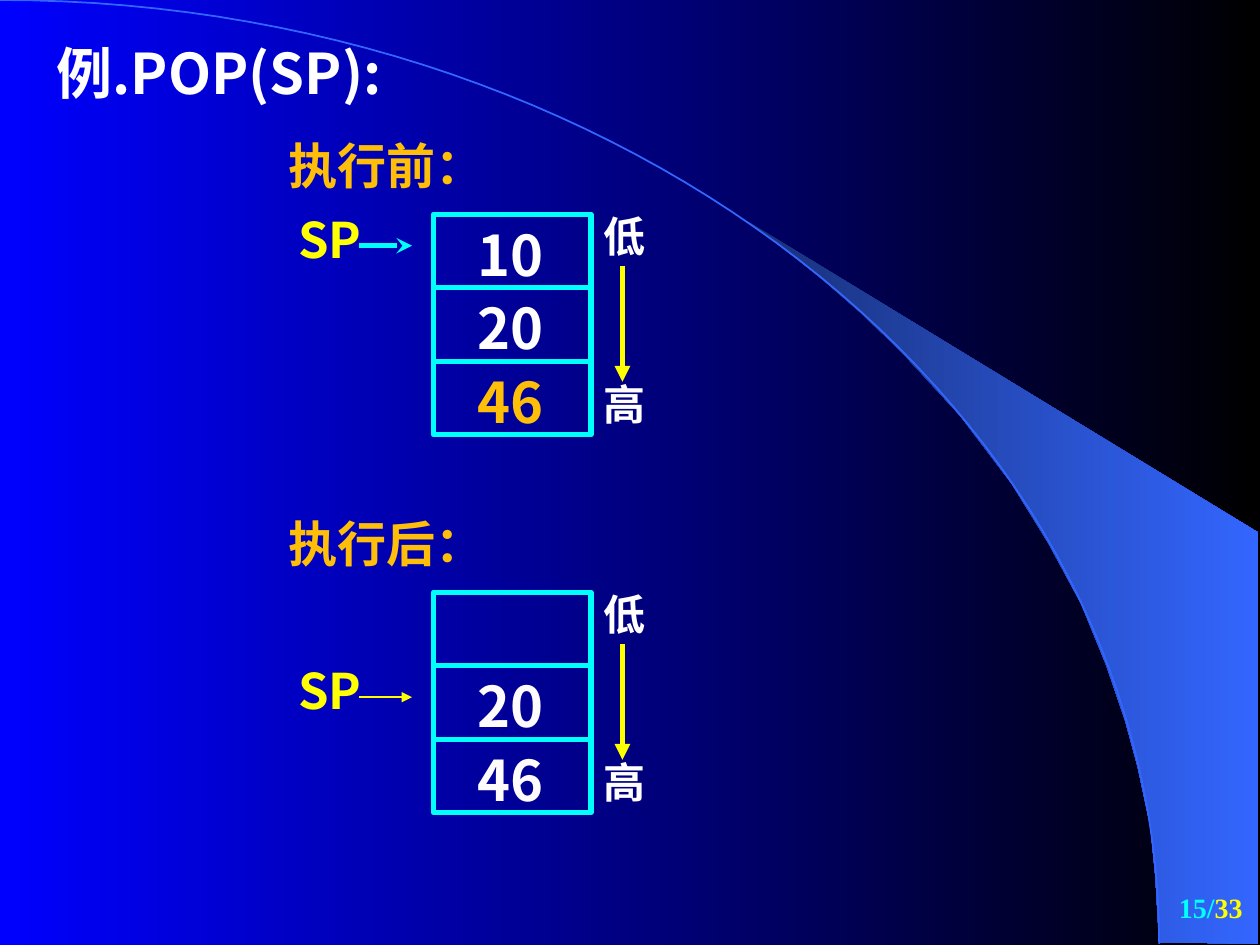
from dataclasses import dataclass

from lxml import etree
from pptx import Presentation
from pptx.dml.color import RGBColor
from pptx.enum.shapes import MSO_CONNECTOR, MSO_SHAPE
from pptx.enum.text import MSO_ANCHOR, MSO_AUTO_SIZE, PP_ALIGN
from pptx.oxml.ns import qn
from pptx.util import Inches, Pt

STRAIGHT = MSO_CONNECTOR.STRAIGHT
RECTANGLE = MSO_SHAPE.RECTANGLE
TOP, MIDDLE = MSO_ANCHOR.TOP, MSO_ANCHOR.MIDDLE
LEFT, RIGHT = PP_ALIGN.LEFT, PP_ALIGN.RIGHT
NO_AUTOFIT = MSO_AUTO_SIZE.NONE


@dataclass(frozen=True)
class Theme:
    white: str = "FFFFFF"
    soft_white: str = "FDFBFB"
    yellow: str = "FFFF00"
    orange: str = "FFBF09"
    cyan: str = "00FFFF"
    blue: str = "0000FF"
    black: str = "000000"
    swoosh: str = "3366FF"
    swoosh_dark: str = "182F76"
    sans: str = "Noto Sans CJK SC"
    serif: str = "Times New Roman"
    large: int = 32
    medium: int = 28
    small: int = 24
    footer: int = 16
    thick: float = 3
    thin: float = 1.5
    hairline: float = 1


THEME = Theme()

WEDGE = [
    (9.2, 7.48), (9.99, 7.49), (9.99, 4.23), (5.89, 1.73), (6.24, 1.99),
    (6.53, 2.22), (6.85, 2.5), (7.16, 2.8), (7.62, 3.3), (8.03, 3.84),
    (8.32, 4.31), (8.58, 4.79), (8.78, 5.28), (8.93, 5.72), (9.03, 6.09),
    (9.13, 6.56), (9.17, 6.96),
]


def rgb(value):
    return RGBColor.from_string(value)


def set_gradient(fill, start, end):
    fill.gradient()
    fill.gradient_angle = 0
    for stop, color, position in zip(fill.gradient_stops, (start, end), (0, 1)):
        stop.color.rgb = rgb(color)
        stop.position = position


def write_text(box, *spans, size, font=THEME.sans, align=LEFT, anchor=TOP, spacing=1.0):
    frame = box.text_frame
    frame.word_wrap = True
    frame.auto_size = NO_AUTOFIT
    frame.vertical_anchor = anchor
    para = frame.paragraphs[0]
    para.alignment = align
    para.line_spacing = spacing
    para.space_before = Pt(0)
    for text, color in spans:
        span = para.add_run()
        span.text = text
        span.font.name = font
        span.font.size = Pt(size)
        span.font.bold = True
        span.font.color.rgb = rgb(color)
        east_asian = etree.SubElement(span.font._element, qn("a:ea"))
        east_asian.set("typeface", THEME.sans)


def add_text(shapes, left, top, width, height, *spans, **style):
    box = shapes.add_textbox(Inches(left), Inches(top), Inches(width), Inches(height))
    write_text(box, *spans, **style)


def add_line(shapes, start, end, color, width=THEME.thick, arrow=None):
    line = shapes.add_connector(STRAIGHT, *map(Inches, start + end))
    line.line.color.rgb = rgb(color)
    line.line.width = Pt(width)
    if arrow:
        tail = etree.SubElement(line.line._get_or_add_ln(), qn("a:tailEnd"))
        tail.set("type", arrow)
    etree.SubElement(line._element.spPr, qn("a:effectLst"))


def add_outline(shapes, points, close):
    corners = [(Inches(x), Inches(y)) for x, y in points]
    builder = shapes.build_freeform(*corners[0])
    builder.add_line_segments(corners[1:], close=close)
    outline = builder.convert_to_shape()
    outline.shadow.inherit = False
    return outline


def arc_points(width, height, steps=60):
    for step in range(steps + 1):
        t = step / steps
        u = 1 - t
        yield (
            width * (3 * u * u * t * 0.552 + 3 * u * t * t + t ** 3),
            height * (3 * u * t * t * 0.447 + t ** 3),
        )


def add_backdrop(page):
    set_gradient(page.background.fill, THEME.blue, THEME.black)
    decoration = page.shapes.add_group_shape().shapes
    wedge = add_outline(decoration, WEDGE, close=True)
    set_gradient(wedge.fill, THEME.swoosh_dark, THEME.swoosh)
    wedge.line.fill.background()
    arc = add_outline(decoration, arc_points(9.2, 7.49), close=False)
    arc.fill.background()
    arc.line.color.rgb = rgb(THEME.swoosh)
    arc.line.width = Pt(THEME.hairline)


def add_title(page, left, top, width, height):
    title = page.shapes.title
    title.left, title.top = Inches(left), Inches(top)
    title.width, title.height = Inches(width), Inches(height)
    write_text(title, ("例.POP(SP):", THEME.white), size=THEME.large, spacing=0.8)


def add_page_number(page, left, top, width, height):
    add_text(page.shapes, left, top, width, height,
             ("15/", THEME.cyan), ("33", THEME.yellow),
             size=THEME.footer, font=THEME.serif, align=RIGHT, anchor=MIDDLE)


def add_stack(page, left, top, width, height, heading, cells, pointer_row, pointer):
    add_text(page.shapes, left - 1.25, top - 0.67, 2.25, 0.57,
             (heading, THEME.orange), size=THEME.medium, font=THEME.serif)
    shapes = page.shapes.add_group_shape().shapes
    right, bottom = left + width, top + height
    row_height = height / len(cells)

    frame = shapes.add_shape(RECTANGLE, Inches(left), Inches(top), Inches(width), Inches(height))
    frame.shadow.inherit = False
    frame.fill.background()
    frame.line.color.rgb = rgb(THEME.cyan)
    frame.line.width = Pt(THEME.thick)

    for row, (value, color) in enumerate(cells):
        row_top = top + row * row_height
        if row:
            add_line(shapes, (left, row_top), (right, row_top), THEME.cyan)
        if value:
            add_text(shapes, left + 0.25, row_top, 1, 0.64, (value, color), size=THEME.large)

    pointer_top = top + pointer_row * row_height
    add_text(shapes, left - 1.17, pointer_top, 1.08, 0.48,
             ("SP", THEME.yellow), size=THEME.medium, spacing=0.8)
    add_line(shapes, (left - 0.59, pointer_top + 0.25), (left - 0.17, pointer_top + 0.25), **pointer)

    for label, label_top in (("低", top), ("高", bottom - 0.42)):
        add_text(shapes, right, label_top, 0.75, 0.42,
                 (label, THEME.white), size=THEME.small, spacing=0.8)
    add_line(shapes, (right + 0.25, top + 0.41), (right + 0.25, bottom - 0.42),
             THEME.yellow, arrow="triangle")


def main():
    deck = Presentation()
    deck.slide_width, deck.slide_height = Inches(10), Inches(7.5)
    page = deck.slides.add_slide(deck.slide_layouts[5])
    add_backdrop(page)
    add_page_number(page, 7.88, 6.95, 2.08, 0.5)
    add_title(page, 0.35, 0.36, 3.08, 0.53)
    add_stack(page, 3.44, 1.7, 1.25, 1.75, "执行前：",
              [("10", THEME.white), ("20", THEME.white), ("46", THEME.orange)], 0,
              {"color": THEME.cyan, "arrow": "stealth"})
    add_stack(page, 3.44, 4.7, 1.25, 1.75, "执行后：",
              [("", THEME.soft_white), ("20", THEME.soft_white), ("46", THEME.soft_white)], 1,
              {"color": THEME.yellow, "width": THEME.thin, "arrow": "triangle"})
    deck.save("out.pptx")


if __name__ == "__main__":
    main()
